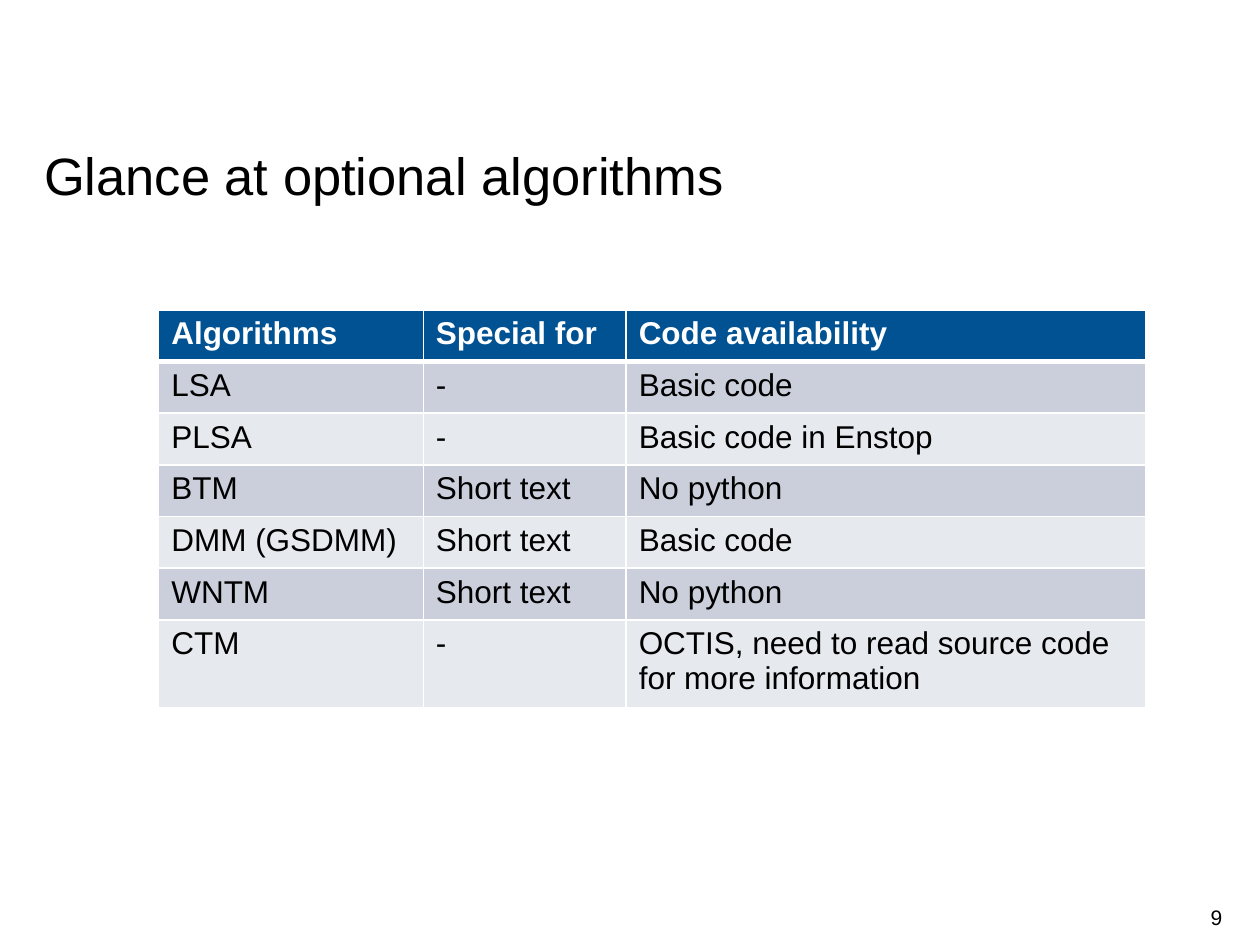
"""Build a slide with a table of topic-model algorithms."""
from lxml import etree
from pptx import Presentation, util as u
from pptx.dml import color
from pptx.enum import text as t
from pptx.oxml import ns

WIDE, HIGH = 10, 7.5
COLS = (2.1, 1.61, 4.12)
ROW = 0.41
WHITE, BLACK, BLUE = "FFFFFF", "000000", "005293"
BANDS = ("CACFDB", "E6E9EE")
DATA = (
    ("Algorithms", "Special for", "Code availability"),
    ("LSA", "-", "Basic code"),
    ("PLSA", "-", "Basic code in Enstop"),
    ("BTM", "Short text", "No python"),
    ("DMM (GSDMM)", "Short text", "Basic code"),
    ("WNTM", "Short text", "No python"),
    ("CTM", "-", "OCTIS, need to read source code for more information"),
)


def tint(target, code):
    """Give a color-bearing object a hex color."""
    target.rgb = color.RGBColor.from_string(code)


def write(frame, words, size=18, ink=BLACK, bold=False, align=t.PP_ALIGN.LEFT, space=None):
    """Put one formatted paragraph in a text frame."""
    para = frame.paragraphs[0]
    para.alignment = align
    if space:
        para.line_spacing = space
    run = para.add_run()
    run.text = words
    run.font.name, run.font.size, run.font.bold = "Arial", u.Pt(size), bold
    tint(run.font.color, ink)


def label(slide, words, box, pad=0, anchor=t.MSO_ANCHOR.TOP, **form):
    """Add a text box placed by shares of the slide's size."""
    left, top, width, height = box
    shape = slide.shapes.add_textbox(
        u.Inches(left * WIDE), u.Inches(top * HIGH),
        u.Inches(width * WIDE), u.Inches(height * HIGH))
    frame = shape.text_frame
    frame.word_wrap = True
    frame.vertical_anchor = anchor
    frame.margin_left = frame.margin_right = 0
    frame.margin_top = frame.margin_bottom = u.Inches(pad)
    write(frame, words, **form)


def edge(cell, side, width):
    """Draw one white border of a cell."""
    line = etree.SubElement(cell._tc.get_or_add_tcPr(), ns.qn(f"a:ln{side}"), w=str(u.Pt(width)))
    fill = etree.SubElement(line, ns.qn("a:solidFill"))
    etree.SubElement(fill, ns.qn("a:srgbClr"), val=WHITE)


def style(cell, words, row):
    """Fill, border and write a cell according to its row."""
    head = row == 0
    widths = {"L": 1, "R": 1, "T": 3 if row == 1 else 1, "B": 3 if head else 1}
    for side, width in widths.items():
        edge(cell, side, width)
    cell.fill.solid()
    tint(cell.fill.fore_color, BLUE if head else BANDS[(row - 1) % 2])
    write(cell.text_frame, words, ink=WHITE if head else BLACK, bold=head)


def grid(slide, left, top):
    """Add the table of algorithms."""
    table = slide.shapes.add_table(
        len(DATA), len(COLS), u.Inches(left * WIDE), u.Inches(top * HIGH),
        u.Inches(sum(COLS)), u.Inches(ROW * len(DATA))).table
    for col, width in zip(table.columns, COLS):
        col.width = u.Inches(width)
    for row, line in enumerate(DATA):
        table.rows[row].height = u.Inches(ROW)
        for col, words in enumerate(line):
            style(table.cell(row, col), words, row)


def main():
    """Build and save the slide."""
    deck = Presentation()
    deck.slide_width, deck.slide_height = u.Inches(WIDE), u.Inches(HIGH)
    slide = deck.slides.add_slide(deck.slide_layouts[6])
    label(slide, "9", (0.74, 0.94, 0.23, 0.06), pad=0.05,
          anchor=t.MSO_ANCHOR.MIDDLE, size=12, align=t.PP_ALIGN.RIGHT)
    label(slide, "Glance at optional algorithms", (0.035, 0.147, 0.93, 0.06),
          size=30, space=1.06)
    grid(slide, 0.126, 0.328)
    deck.save("out.pptx")


if __name__ == "__main__":
    main()
